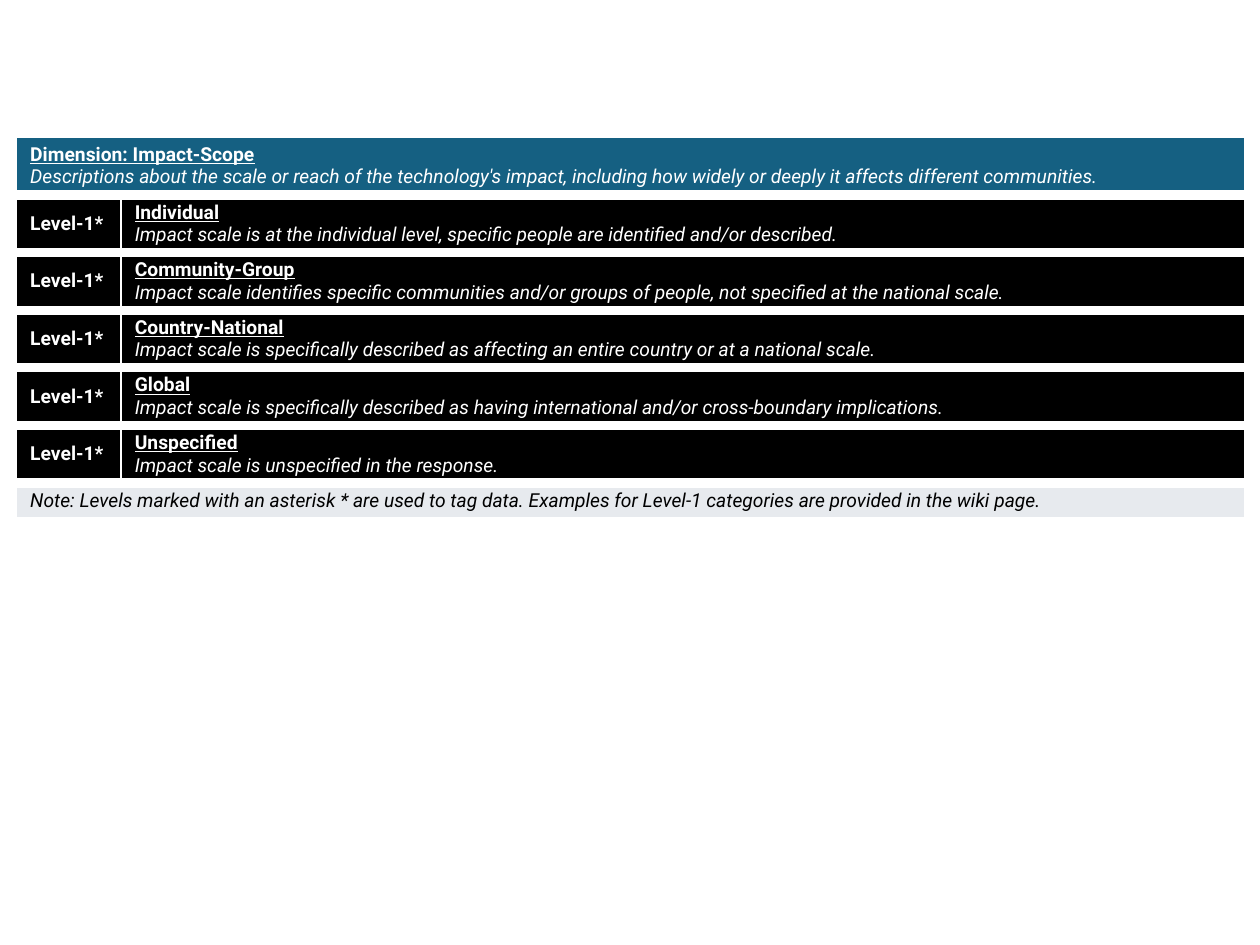
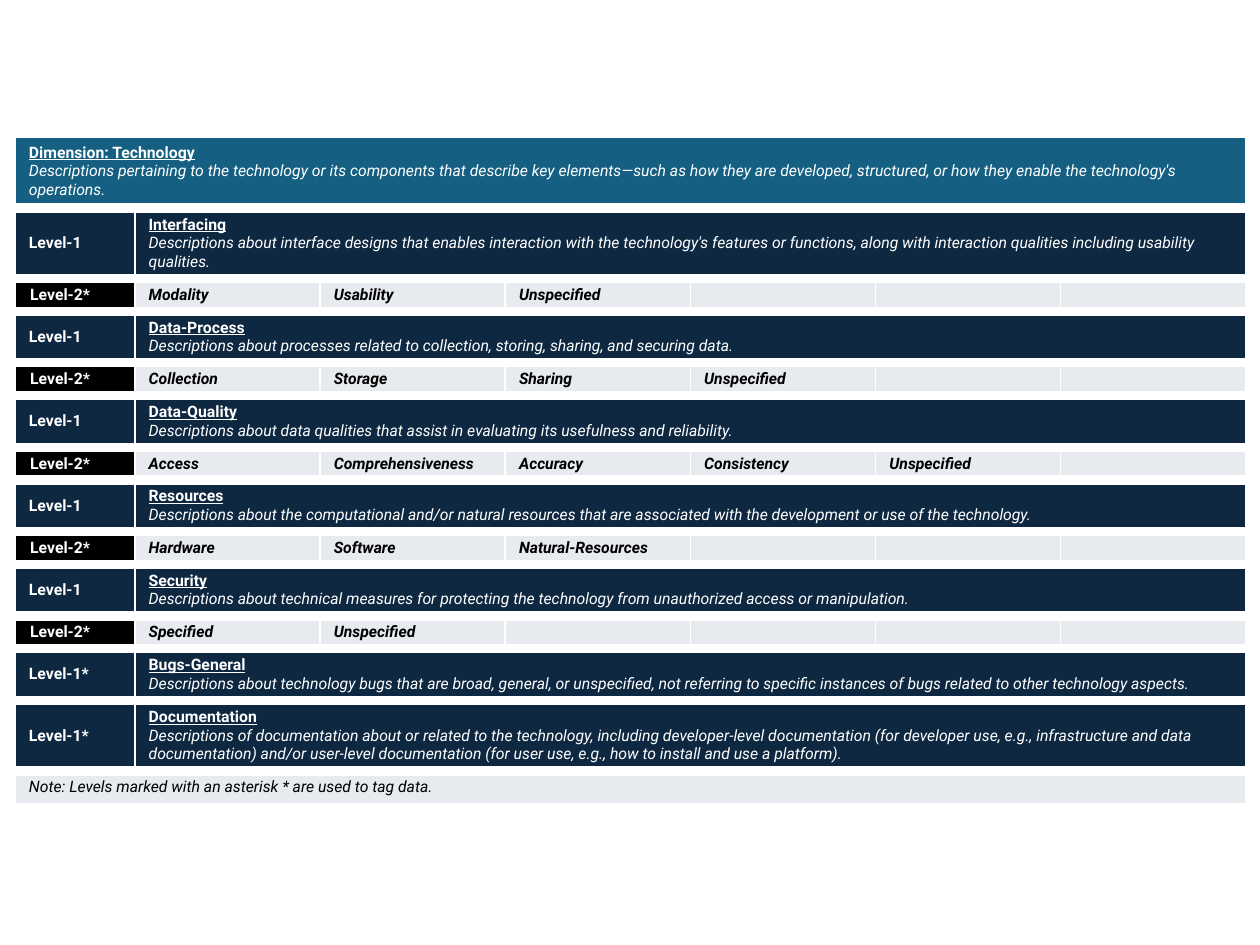
from dataclasses import dataclass
from typing import Optional

from lxml.etree import SubElement
from pptx import Presentation
from pptx.dml.color import RGBColor
from pptx.enum.text import MSO_ANCHOR
from pptx.oxml.ns import qn
from pptx.slide import Slide
from pptx.table import Table, _Cell
from pptx.util import Inches, Length, Pt


@dataclass(frozen=True)
class Theme:
    font: str = "Roboto"
    white: str = "FFFFFF"
    black: str = "000000"
    teal: str = "156082"
    navy: str = "0E2841"
    pale: str = "E7EAEE"
    large: Length = Pt(11)
    small: Length = Pt(9)
    hairline: Length = Pt(1)
    gap: Length = Pt(6)
    inset_x: Length = Inches(0.11)
    inset_y: Length = Inches(0.05)


THEME = Theme()


@dataclass(frozen=True)
class Line:
    text: str
    color: str = THEME.white
    bold: bool = False
    italic: bool = False
    underline: bool = False


@dataclass(frozen=True)
class Level:
    label: str
    name: str
    description: str
    options: tuple[str, ...] = ()
    height: Length = Inches(0.41)


@dataclass(frozen=True)
class Dimension:
    name: str
    description: str
    levels: tuple[Level, ...]
    note: str
    left: Length
    column_widths: tuple[Length, ...]
    header_height: Length
    size: Length
    level_fill: str


TABLE_TOP = Inches(1.09)
STRIP_HEIGHT = Inches(0.26)
TALL_HEIGHT = Inches(0.56)

IMPACT_SCOPE = Dimension(
    name="Impact-Scope",
    description="Descriptions about the scale or reach of the technology's impact, "
    "including how widely or deeply it affects different communities.",
    levels=(
        Level("Level-1*", "Individual",
              "Impact scale is at the individual level, specific people are "
              "identified and/or described."),
        Level("Level-1*", "Community-Group",
              "Impact scale identifies specific communities and/or groups of people, "
              "not specified at the national scale."),
        Level("Level-1*", "Country-National",
              "Impact scale is specifically described as affecting an entire country "
              "or at a national scale."),
        Level("Level-1*", "Global",
              "Impact scale is specifically described as having international and/or "
              "cross-boundary implications."),
        Level("Level-1*", "Unspecified", "Impact scale is unspecified in the response."),
    ),
    note="Note: Levels marked with an asterisk * are used to tag data. "
    "Examples for Level-1 categories are provided in the wiki page.",
    left=Inches(0.13),
    column_widths=(Inches(0.83), Inches(8.92)),
    header_height=Inches(0.41),
    size=THEME.large,
    level_fill=THEME.black,
)

TECHNOLOGY = Dimension(
    name="Technology",
    description="Descriptions pertaining to the technology or its components that "
    "describe key elements—such as how they are developed, structured, or how they "
    "enable the technology's operations.",
    levels=(
        Level("Level-1", "Interfacing",
              "Descriptions about interface designs that enables interaction with the "
              "technology's features or functions, along with interaction qualities "
              "including usability qualities.",
              ("Modality", "Usability", "Unspecified"), TALL_HEIGHT),
        Level("Level-1", "Data-Process",
              "Descriptions about processes related to collection, storing, sharing, "
              "and securing data.",
              ("Collection", "Storage", "Sharing", "Unspecified")),
        Level("Level-1", "Data-Quality",
              "Descriptions about data qualities that assist in evaluating its "
              "usefulness and reliability.",
              ("Access", "Comprehensiveness", "Accuracy", "Consistency", "Unspecified")),
        Level("Level-1", "Resources",
              "Descriptions about the computational and/or natural resources that are "
              "associated with the development or use of the technology.",
              ("Hardware", "Software", "Natural-Resources")),
        Level("Level-1", "Security",
              "Descriptions about technical measures for protecting the technology from "
              "unauthorized access or manipulation.",
              ("Specified", "Unspecified")),
        Level("Level-1*", "Bugs-General",
              "Descriptions about technology bugs that are broad, general, or "
              "unspecified, not referring to specific instances of bugs related to "
              "other technology aspects."),
        Level("Level-1*", "Documentation",
              "Descriptions of documentation about or related to the technology, "
              "including developer-level documentation (for developer use, e.g., "
              "infrastructure and data documentation) and/or user-level documentation "
              "(for user use, e.g., how to install and use a platform).",
              height=TALL_HEIGHT),
    ),
    note="Note: Levels marked with an asterisk * are used to tag data.",
    left=Inches(0.12),
    column_widths=(Inches(0.95),) + (Inches(1.47),) * 6,
    header_height=TALL_HEIGHT,
    size=THEME.small,
    level_fill=THEME.navy,
)


@dataclass(frozen=True)
class Entry:
    lines: tuple[Line, ...]
    fill: str
    anchor: MSO_ANCHOR = MSO_ANCHOR.MIDDLE
    extra_indent: Length = Inches(0)


@dataclass(frozen=True)
class Row:
    height: Length
    entries: tuple[Entry, ...]
    merge_from: Optional[int] = None


def described(name: str, description: str) -> tuple[Line, ...]:
    return (Line(name, bold=True, underline=True), Line(description, italic=True))


def label_entry(label: str, fill: str, extra_indent: Length = Inches(0)) -> Entry:
    return Entry((Line(label, bold=True),), fill, extra_indent=extra_indent)


def level_rows(level: Level, dimension: Dimension) -> list[Row]:
    fill = dimension.level_fill
    rows = [Row(level.height, (
        label_entry(level.label, fill),
        Entry(described(level.name, level.description), fill),
    ), merge_from=1)]
    if level.options:
        blanks = len(dimension.column_widths) - 1 - len(level.options)
        options = level.options + ("",) * blanks
        rows.append(Row(STRIP_HEIGHT, (
            label_entry("Level-2*", THEME.black, Inches(0.01)),
            *(Entry((Line(option, THEME.black, bold=True, italic=True),), THEME.pale)
              for option in options),
        )))
    return rows


def dimension_rows(dimension: Dimension) -> list[Row]:
    header = Entry(described(f"Dimension: {dimension.name}", dimension.description),
                   THEME.teal, MSO_ANCHOR.TOP)
    note = Entry((Line(dimension.note, THEME.black, italic=True),), THEME.pale)
    rows = [Row(dimension.header_height, (header,), merge_from=0)]
    for level in dimension.levels:
        rows.extend(level_rows(level, dimension))
    rows.append(Row(STRIP_HEIGHT, (note,), merge_from=0))
    return rows


def set_borders(cell: _Cell, top: Length, bottom: Length) -> None:
    properties = cell._tc.get_or_add_tcPr()
    widths = {"a:lnL": THEME.hairline, "a:lnR": THEME.hairline,
              "a:lnT": top, "a:lnB": bottom}
    for position, (tag, width) in enumerate(widths.items()):
        border = SubElement(properties, qn(tag), w=str(int(width)))
        fill = SubElement(border, qn("a:solidFill"))
        SubElement(fill, qn("a:srgbClr"), val=THEME.white)
        properties.insert(position, border)


def fill_cell(cell: _Cell, entry: Entry, size: Length) -> None:
    cell.fill.solid()
    cell.fill.fore_color.rgb = RGBColor.from_string(entry.fill)
    cell.vertical_anchor = entry.anchor
    cell.margin_left = THEME.inset_x + entry.extra_indent
    cell.margin_right = THEME.inset_x
    cell.margin_top = cell.margin_bottom = THEME.inset_y
    frame = cell.text_frame
    for index, line in enumerate(entry.lines):
        para = frame.add_paragraph() if index else frame.paragraphs[0]
        if line.text:
            para.add_run().text = line.text
        font = para.font
        font.name, font.size = THEME.font, size
        font.bold, font.italic, font.underline = line.bold, line.italic, line.underline
        font.color.rgb = RGBColor.from_string(line.color)


def fill_row(table: Table, index: int, row: Row, size: Length) -> None:
    last_row, last_column = len(table.rows) - 1, len(table.columns) - 1
    top = THEME.gap if index else THEME.hairline
    bottom = THEME.gap if index < last_row else THEME.hairline
    table.rows[index].height = row.height
    blank = Entry((Line(""),), row.entries[-1].fill)
    for column in range(last_column + 1):
        cell = table.cell(index, column)
        fill_cell(cell, row.entries[column] if column < len(row.entries) else blank, size)
        set_borders(cell, top, bottom)
    if row.merge_from is not None and row.merge_from < last_column:
        table.cell(index, row.merge_from).merge(table.cell(index, last_column))


def draw_dimension(page: Slide, dimension: Dimension) -> None:
    rows = dimension_rows(dimension)
    widths = dimension.column_widths
    table = page.shapes.add_table(
        len(rows), len(widths), dimension.left, TABLE_TOP,
        sum(widths), sum(row.height for row in rows)).table
    table.first_row = table.horz_banding = False
    for column, width in zip(table.columns, widths):
        column.width = width
    for index, row in enumerate(rows):
        fill_row(table, index, row, dimension.size)


def main() -> None:
    deck = Presentation()
    deck.slide_width, deck.slide_height = Inches(10), Inches(7.5)
    blank_layout = deck.slide_layouts[6]
    for dimension in (IMPACT_SCOPE, TECHNOLOGY):
        draw_dimension(deck.slides.add_slide(blank_layout), dimension)
    deck.save("out.pptx")


if __name__ == "__main__":
    main()
